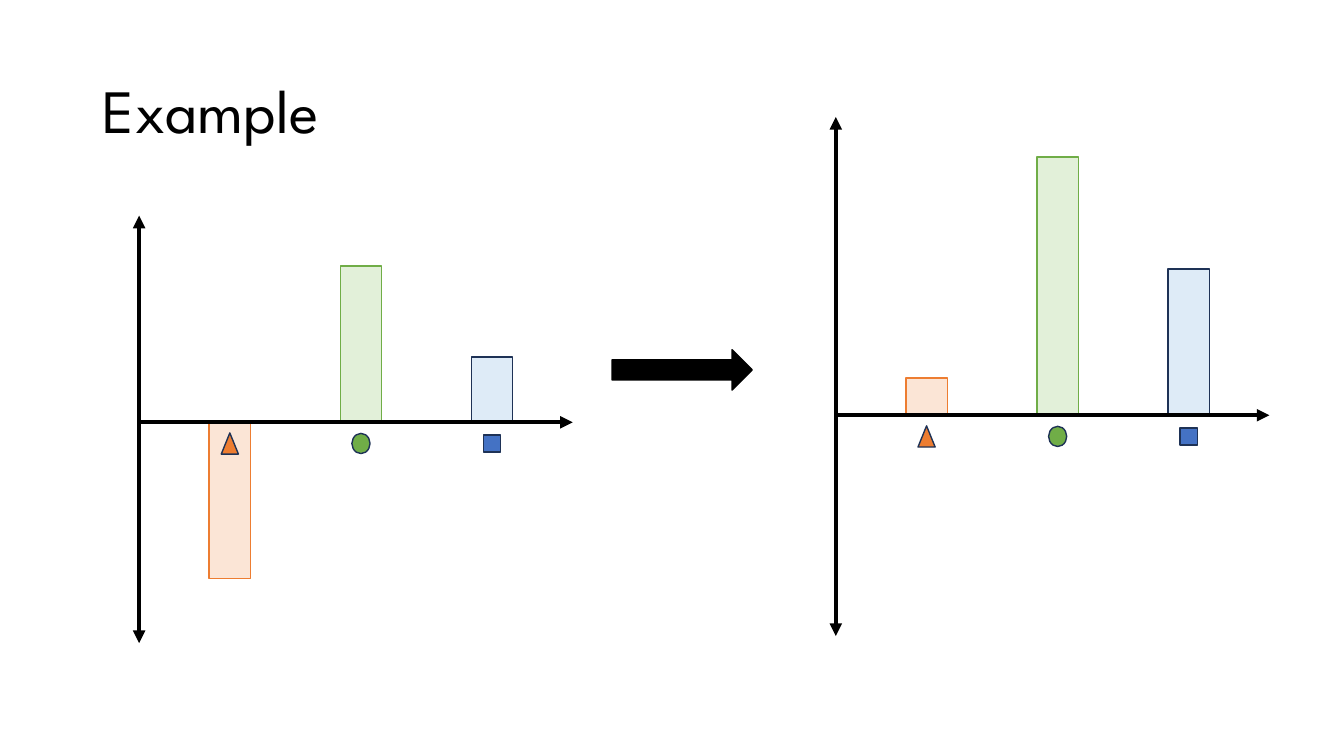
from lxml import etree
from pptx import Presentation
from pptx.dml.color import RGBColor
from pptx.enum.shapes import MSO_CONNECTOR, MSO_SHAPE
from pptx.enum.text import MSO_ANCHOR, MSO_AUTO_SIZE, PP_ALIGN
from pptx.oxml.ns import qn
from pptx.util import Inches, Pt

RECT, OVAL = MSO_SHAPE.RECTANGLE, MSO_SHAPE.OVAL
TRIANGLE, RIGHT_ARROW = MSO_SHAPE.ISOSCELES_TRIANGLE, MSO_SHAPE.RIGHT_ARROW
STRAIGHT = MSO_CONNECTOR.STRAIGHT
MIDDLE, NO_FIT, LEFT = MSO_ANCHOR.MIDDLE, MSO_AUTO_SIZE.NONE, PP_ALIGN.LEFT

FONT = "League Spartan"
BLACK = RGBColor(0x00, 0x00, 0x00)
NAVY = RGBColor(0x1E, 0x32, 0x56)
ORANGE = RGBColor(0xED, 0x7D, 0x31)
PALE_ORANGE = RGBColor(0xFB, 0xE5, 0xD6)
GREEN = RGBColor(0x70, 0xAD, 0x47)
PALE_GREEN = RGBColor(0xE2, 0xF0, 0xD9)
BLUE = RGBColor(0x44, 0x72, 0xC4)
PALE_BLUE = RGBColor(0xDE, 0xEB, 0xF7)

BAR_WIDTH, FIRST_BAR, BAR_PITCH = 0.41, 0.9, 1.3
SYMBOL_DROP = 0.21
SERIES = [
    (PALE_ORANGE, ORANGE, TRIANGLE, ORANGE, 0.17, 0.21),
    (PALE_GREEN, GREEN, OVAL, GREEN, 0.18, 0.2),
    (PALE_BLUE, NAVY, RECT, BLUE, 0.17, 0.17),
]


def add_shape(shapes, kind, left, top, width, height, fill, line):
    """Add a filled, thinly outlined shape without a shadow."""
    sp = shapes.add_shape(kind, Inches(left), Inches(top), Inches(width), Inches(height))
    sp.shadow.inherit = False
    sp.fill.solid()
    sp.fill.fore_color.rgb = fill
    sp.line.color.rgb = line
    sp.line.width = Pt(1)


def add_axis(shapes, x1, y1, x2, y2, ends):
    """Add a thick black axis with arrowheads at the given ends."""
    axis = shapes.add_connector(STRAIGHT, Inches(x1), Inches(y1), Inches(x2), Inches(y2))
    axis.line.color.rgb = BLACK
    axis.line.width = Pt(3)
    for end in ends:
        etree.SubElement(axis.line._get_or_add_ln(), qn(end)).set("type", "triangle")
    etree.SubElement(axis._element.spPr, qn("a:effectLst"))


def add_title(s, text, left, top, width, height):
    """Place and format the slide title."""
    title = s.shapes.title
    title.left, title.top = Inches(left), Inches(top)
    title.width, title.height = Inches(width), Inches(height)
    tf = title.text_frame
    tf.auto_size = NO_FIT
    tf.word_wrap = True
    tf.vertical_anchor = MIDDLE
    p = tf.paragraphs[0]
    p.alignment = LEFT
    p.line_spacing = 0.9
    r = p.add_run()
    r.text = text
    r.font.name = FONT
    r.font.size = Pt(44)
    r.font.color.rgb = BLACK


def add_graph(s, left, top, width, height, above, values):
    """Draw a bar graph whose zero line lies the given length below the top."""
    shapes = s.shapes.add_group_shape().shapes
    zero = top + above
    for i, (value, series) in enumerate(zip(values, SERIES)):
        fill, line, symbol, symbol_fill, w, h = series
        x = left + FIRST_BAR + i * BAR_PITCH
        add_shape(shapes, RECT, x - BAR_WIDTH / 2, zero - max(value, 0),
                  BAR_WIDTH, abs(value), fill, line)
        add_shape(shapes, symbol, x - w / 2, zero + SYMBOL_DROP - h / 2,
                  w, h, symbol_fill, NAVY)
    add_axis(shapes, left, top + height, left, top, ("a:headEnd", "a:tailEnd"))
    add_axis(shapes, left, zero, left + width, zero, ("a:tailEnd",))


def main():
    """Build and save the slide."""
    prs = Presentation()
    prs.slide_width, prs.slide_height = Inches(13.33), Inches(7.5)
    s = prs.slides.add_slide(prs.slide_layouts[5])
    add_title(s, "Example", 0.92, 0.4, 11.5, 1.45)
    add_graph(s, 1.38, 2.14, 4.3, 4.24, 2.05, (-1.55, 1.55, 0.65))
    add_shape(s.shapes, RIGHT_ARROW, 6.07, 3.47, 1.39, 0.4, BLACK, BLACK)
    add_graph(s, 8.29, 1.16, 4.3, 5.15, 2.96, (0.37, 2.56, 1.45))
    prs.save("out.pptx")


if __name__ == "__main__":
    main()
